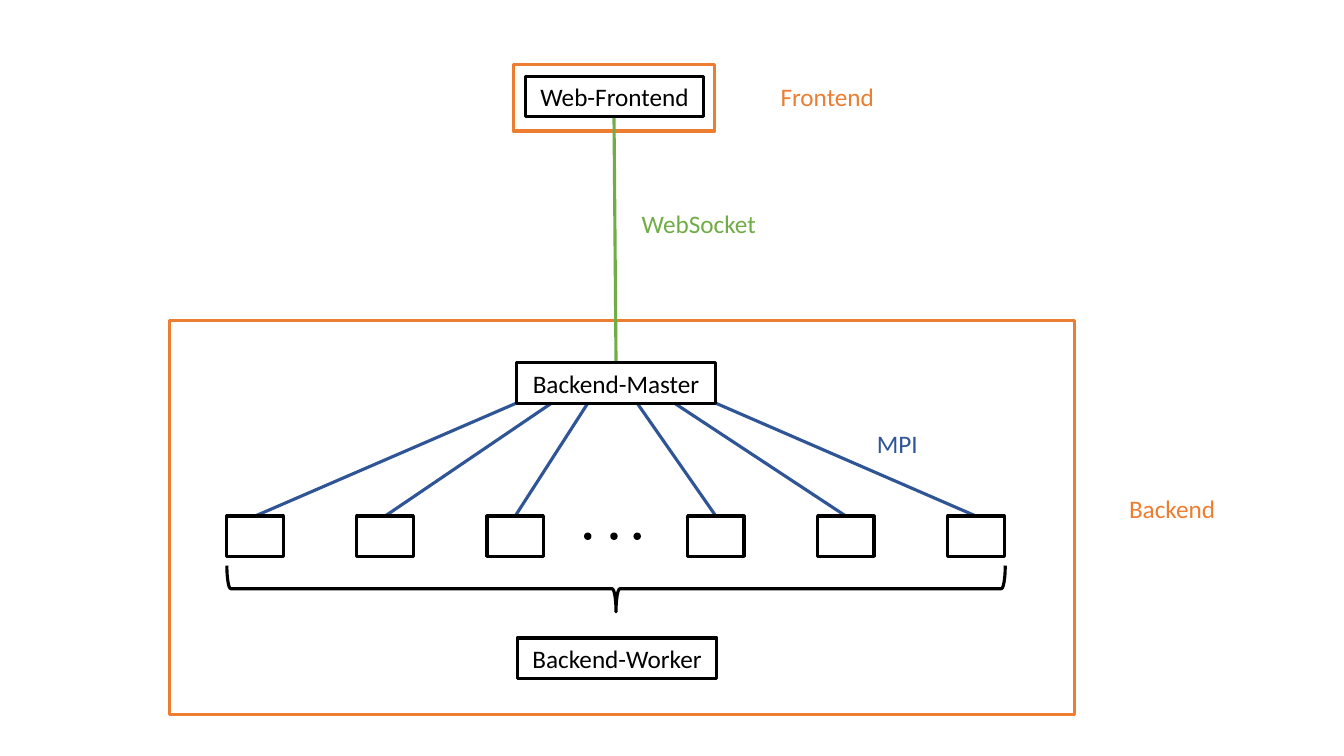
from pptx import Presentation
from pptx import util as u
from pptx.dml.color import RGBColor
from pptx.enum import shapes, text
from pptx.oxml.ns import qn
from lxml import etree

COLORS = {"tier": "ED7D31", "socket": "70AD47", "mpi": "2F5597", "ink": "000000"}
KINDS = shapes.MSO_SHAPE
ROW = 0.4                       # height of every label and node
MASTER_TOP, WORKER_TOP = 3.6, 5.12
WORKER_WIDTH, WORKER_STEP = 0.56, 1.29

deck = Presentation()
deck.slide_width, deck.slide_height = u.Inches(13.33), u.Inches(7.5)
page = deck.slides.add_slide(deck.slide_layouts[6])


def add_box(area, color, kind=KINDS.RECTANGLE, label=None, outlined=True):
    """Add an outlined shape or a plain label, with centred text if given."""
    place = [u.Inches(value) for value in area]
    if outlined:
        box = page.shapes.add_shape(kind, *place)
        box.shadow.inherit = False
        box.fill.background()
        box.line.color.rgb = RGBColor.from_string(COLORS[color])
        box.line.width = u.Pt(2.25)
    else:
        box = page.shapes.add_textbox(*place)
    if label:
        frame = box.text_frame
        frame_format = {"word_wrap": True, "vertical_anchor": text.MSO_ANCHOR.TOP,
                        "auto_size": text.MSO_AUTO_SIZE.SHAPE_TO_FIT_TEXT}
        for name, value in frame_format.items():
            setattr(frame, name, value)
        para = frame.paragraphs[0]
        para.alignment = text.PP_ALIGN.CENTER
        span = para.add_run()
        span.text = label
        for name, value in {"name": "Calibri", "size": u.Pt(18)}.items():
            setattr(span.font, name, value)
        span.font.color.rgb = RGBColor.from_string(COLORS["ink" if outlined else color])
    return box


def add_link(start, end, color):
    """Join two points with a straight line."""
    link = page.shapes.add_connector(
        shapes.MSO_CONNECTOR.STRAIGHT, *[u.Inches(value) for value in (*start, *end)])
    link.line.color.rgb = RGBColor.from_string(COLORS[color])
    link.line.width = u.Pt(2.25)
    etree.SubElement(link._element.spPr, qn("a:effectLst"))


# Frames of the two tiers
add_box((1.68, 3.18, 8.98, 3.91), "tier")
add_box((5.09, 0.64, 2, 0.66), "tier")

# Link from frontend to master
add_link((6.09, 0.76 + ROW), (6.11, MASTER_TOP), "socket")

# Workers in two groups of three, each linked to the master
worker_lefts = [group + WORKER_STEP * column
                for group in (2.25, 6.82) for column in range(3)]
master_exits = (5.12, 5.47, 5.83, 6.32, 6.69, 7.1)
for left, leave in zip(worker_lefts, master_exits):
    add_link((leave, MASTER_TOP + ROW), (left + WORKER_WIDTH / 2, WORKER_TOP), "mpi")
    add_box((left, WORKER_TOP, WORKER_WIDTH, ROW), "ink")

# Dots for the workers in between
for left in (5.8, 6.06, 6.29):
    dot = add_box((left, 5.29, 0.06, 0.06), "ink", KINDS.OVAL)
    dot.fill.solid()
    dot.fill.fore_color.rgb = RGBColor.from_string(COLORS["ink"])
    dot.line.width = u.Pt(1)

# Brace under the workers
brace = add_box((5.88, 1.98, 0.46, 7.72), "ink", KINDS.LEFT_BRACE)
brace.rotation = 270

# Named nodes
for label, left, top, width in (("Web-Frontend", 5.21, 0.76, 1.77),
                                ("Backend-Master", 5.12, MASTER_TOP, 1.98),
                                ("Backend-Worker", 5.13, 6.33, 1.98)):
    add_box((left, top, width, ROW), "ink", label=label)

# Labels of tiers and protocols
for label, left, top, width, color in (("MPI", 8.52, 4.2, 0.76, "mpi"),
                                       ("Backend", 11.01, 4.84, 1.23, "tier"),
                                       ("Frontend", 7.59, 0.76, 1.23, "tier"),
                                       ("WebSocket", 6.04, 2.02, 1.78, "socket")):
    add_box((left, top, width, ROW), color, label=label, outlined=False)

deck.save("out.pptx")
